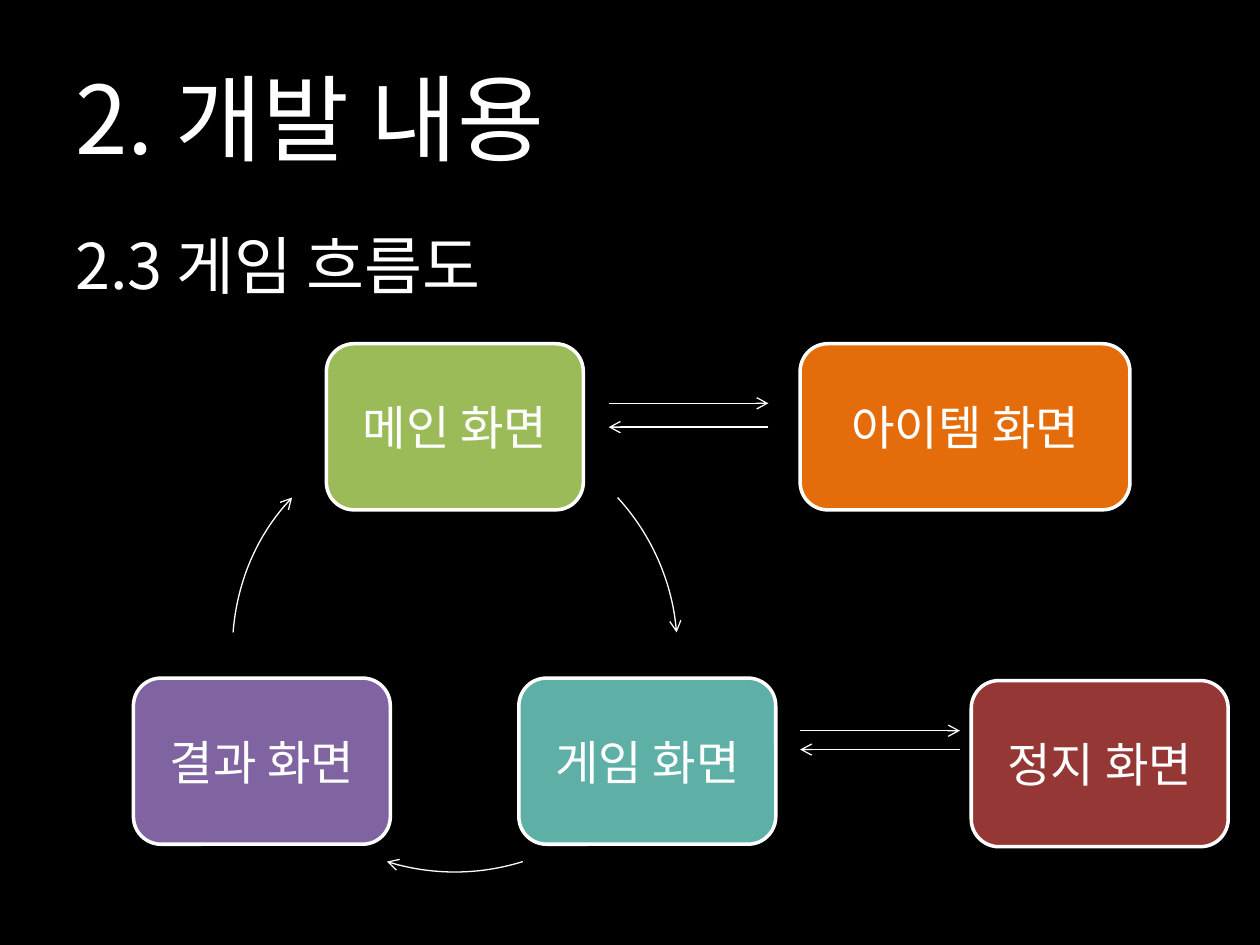
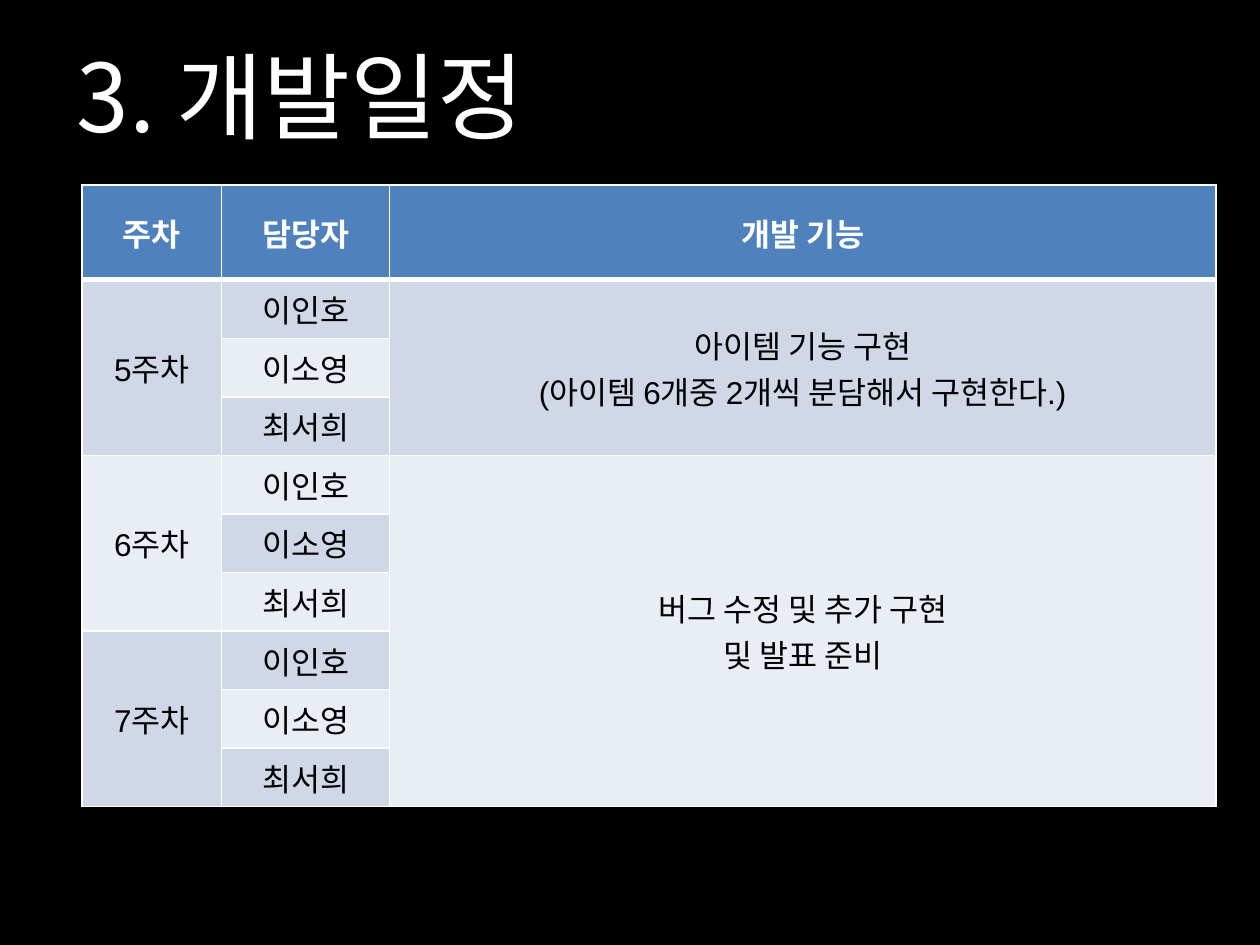
"""Build the game flow and schedule slides."""
from lxml import etree
from pptx import Presentation
from pptx.dml.color import RGBColor
from pptx.enum.shapes import MSO_CONNECTOR, MSO_SHAPE
from pptx.enum.text import MSO_ANCHOR, PP_ALIGN
from pptx.oxml.ns import qn
from pptx.util import Cm, Pt

ROUND = MSO_SHAPE.ROUNDED_RECTANGLE
LINE = MSO_CONNECTOR.STRAIGHT
MID, TOP = MSO_ANCHOR.MIDDLE, MSO_ANCHOR.TOP
LEFT, CENTER = PP_ALIGN.LEFT, PP_ALIGN.CENTER
SANS, LATIN = "Noto Sans CJK KR", "Arial"

COLORS = {
    "back": "000000", "white": "FFFFFF", "black": "000000",
    "main": "9BBB59", "game": "5EAFA6", "result": "8064A2",
    "item": "E46C0A", "pause": "953735",
    "head": "4F81BD", "odd": "D0D8E8", "even": "E9EDF4",
}

FLOW_TITLE = "2. 개발 내용"
FLOW_SUB = "2.3 게임 흐름도"
BOX_W, BOX_H = 5.18, 3.35
BOXES = [
    ("메인 화면", "main", 6.58, 6.93, BOX_W),
    ("게임 화면", "game", 10.46, 13.67, BOX_W),
    ("결과 화면", "result", 2.69, 13.67, BOX_W),
    ("아이템 화면", "item", 16.13, 6.93, 6.65),
    ("정지 화면", "pause", 19.58, 13.72, BOX_W),
]
CURVES = [
    [(12.45, 10.03), (13.13, 10.77), (13.56, 11.73), (13.64, 12.75)],
    [(10.54, 17.37), (9.65, 17.65), (8.69, 17.65), (7.8, 17.37)],
    [(4.7, 12.75), (4.78, 11.73), (5.18, 10.77), (5.89, 10.03)],
]
PAIRS = [(12.27, 15.49, 8.13, 8.61), (16.13, 19.35, 14.73, 15.11)]
STEPS = 24

PLAN_TITLE = "3. 개발일정"
HEADS = ["주차", "담당자", "개발 기능"]
WEEKS = ["5주차", "6주차", "7주차"]
NAMES = ["이인호", "이소영", "최서희"]
TASKS = [
    (1, 3, "아이템 기능 구현\n(아이템 6개중 2개씩 분담해서 구현한다.)"),
    (4, 6, "버그 수정 및 추가 구현\n및 발표 준비"),
]
COLS = [2.82, 3.38, 16.66]
HEAD_H, ROW_H = 1.91, 1.18


def rgb(key):
    return RGBColor.from_string(COLORS[key])


def write(frame, text, size, key="white", face=SANS, align=LEFT, bold=False):
    frame.text = text
    for para in frame.paragraphs:
        para.alignment = align
        font = para.font
        font.size, font.name, font.bold = Pt(size), face, bold
        font.color.rgb = rgb(key)
        east = etree.SubElement(font._element, qn("a:ea"))
        east.set("typeface", SANS)


def label(slide, text, size, left, top, height, anchor):
    box = slide.shapes.add_textbox(Cm(left), Cm(top), Cm(22.86), Cm(height))
    box.text_frame.word_wrap = True
    box.text_frame.vertical_anchor = anchor
    write(box.text_frame, text, size)


def start(deck, title, left, top):
    slide = deck.slides.add_slide(deck.slide_layouts[6])
    slide.background.fill.solid()
    slide.background.fill.fore_color.rgb = rgb("back")
    label(slide, title, 54, left, top, 3.18, MID)
    return slide


def arrow(shape):
    shape.line.color.rgb = rgb("white")
    shape.line.width = Pt(0.75)
    tail = etree.SubElement(shape.line._get_or_add_ln(), qn("a:tailEnd"))
    tail.set("type", "arrow")


def link(slide, x1, x2, y):
    line = slide.shapes.add_connector(LINE, Cm(x1), Cm(y), Cm(x2), Cm(y))
    arrow(line)
    etree.SubElement(line._element.spPr, qn("a:effectLst"))


def bend(slide, knots):
    dots = []
    for step in range(STEPS + 1):
        t = step / STEPS
        u = 1 - t
        parts = (u ** 3, 3 * u * u * t, 3 * u * t * t, t ** 3)
        dots.append([Cm(sum(p * k[axis] for p, k in zip(parts, knots)))
                     for axis in (0, 1)])
    pen = slide.shapes.build_freeform(*dots[0])
    pen.add_line_segments(dots[1:], close=False)
    curve = pen.convert_to_shape()
    curve.fill.background()
    curve.shadow.inherit = False
    arrow(curve)


def flow(deck):
    slide = start(deck, FLOW_TITLE, 1.27, 0.76)
    label(slide, FLOW_SUB, 36, 1.27, 4.45, 12.57, TOP)
    for text, key, left, top, width in BOXES:
        box = slide.shapes.add_shape(
            ROUND, Cm(left), Cm(top), Cm(width), Cm(BOX_H))
        box.shadow.inherit = False
        box.fill.solid()
        box.fill.fore_color.rgb = rgb(key)
        box.line.color.rgb = rgb("white")
        box.line.width = Pt(2)
        box.text_frame.vertical_anchor = MID
        write(box.text_frame, text, 27, align=CENTER)
    for knots in CURVES:
        bend(slide, knots)
    for x1, x2, out, back in PAIRS:
        link(slide, x1, x2, out)
        link(slide, x2, x1, back)


def style(cell, key, top, base):
    props = cell._tc.get_or_add_tcPr()
    for side, width in (("L", 1), ("R", 1), ("T", top), ("B", base)):
        edge = etree.SubElement(props, qn("a:ln" + side), w=str(Pt(width)))
        fill = etree.SubElement(edge, qn("a:solidFill"))
        etree.SubElement(fill, qn("a:srgbClr"), val=COLORS["white"])
    cell.fill.solid()
    cell.fill.fore_color.rgb = rgb(key)
    cell.vertical_anchor = MID


def plan(deck):
    slide = start(deck, PLAN_TITLE, 1.3, 0.33)
    team = len(NAMES)
    count = 1 + team * len(WEEKS)
    table = slide.shapes.add_table(
        count, len(COLS), Cm(1.65), Cm(3.73), Cm(sum(COLS)),
        Cm(HEAD_H + ROW_H * (count - 1))).table
    table.first_row = table.horz_banding = False
    for col, width in zip(table.columns, COLS):
        col.width = Cm(width)
    for r, row in enumerate(table.rows):
        row.height = Cm(ROW_H if r else HEAD_H)
        key = ("odd" if r % 2 else "even") if r else "head"
        for cell in row.cells:
            style(cell, key, 3 if r == 1 else 1, 1 if r else 3)
    spans = [(1 + i * team, team, 0, week) for i, week in enumerate(WEEKS)]
    spans += [(r, size, 2, text) for r, size, text in TASKS]
    for r, size, c, text in spans:
        cell = table.cell(r, c)
        cell.merge(table.cell(r + size - 1, c))
        write(cell.text_frame, text, 18, "black", LATIN, CENTER)
    for c, text in enumerate(HEADS):
        write(table.cell(0, c).text_frame, text, 18, "white", LATIN, CENTER, True)
    for r in range(1, count):
        name = NAMES[(r - 1) % team]
        write(table.cell(r, 1).text_frame, name, 18, "black", LATIN, CENTER)


def main():
    deck = Presentation()
    deck.slide_width, deck.slide_height = Cm(25.4), Cm(19.05)
    flow(deck)
    plan(deck)
    deck.save("out.pptx")


if __name__ == "__main__":
    main()
